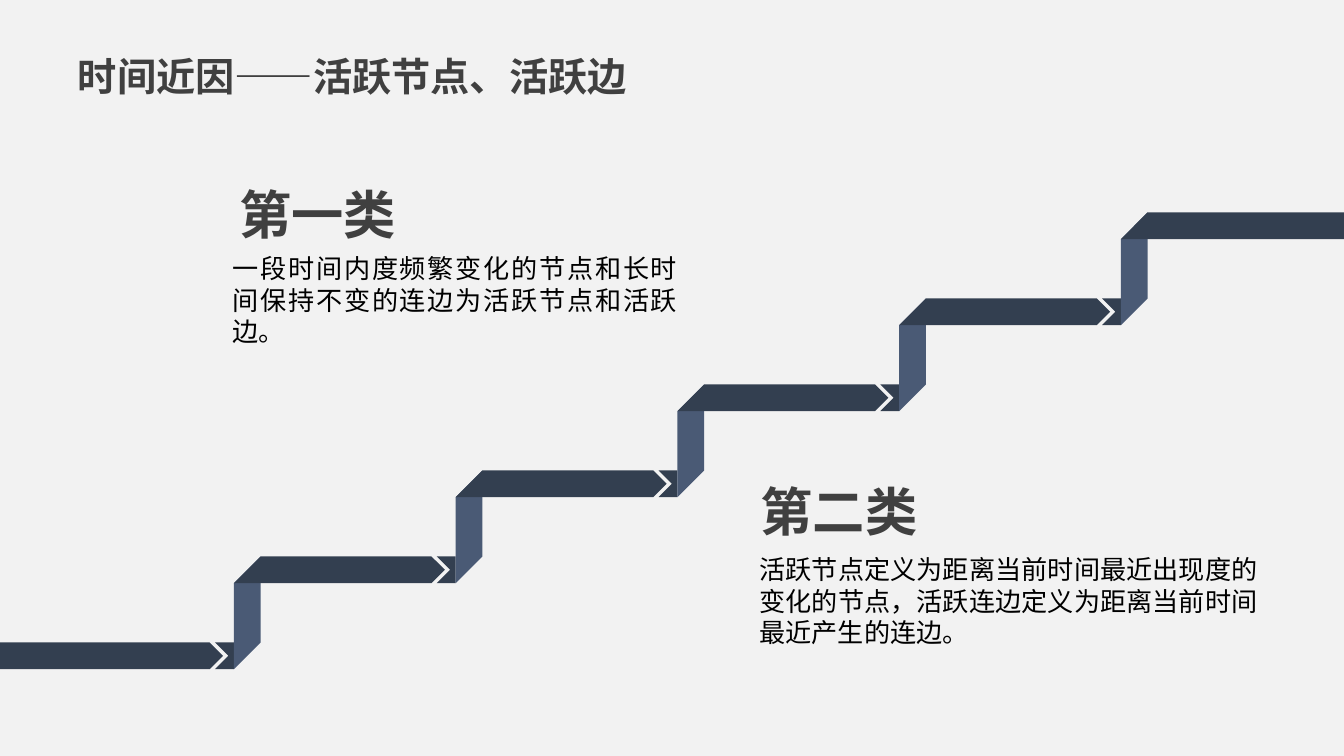
from pptx import Presentation
from pptx.dml.color import RGBColor
from pptx.enum import text
from pptx.oxml.ns import qn
from pptx.util import Inches, Pt
from lxml import etree

DARK = RGBColor(0x33, 0x3F, 0x50)
BLUE = RGBColor(0x4A, 0x5A, 0x75)
GRAY = RGBColor(0x40, 0x40, 0x40)
BLACK = RGBColor(0, 0, 0)
PALE = RGBColor(0xF2, 0xF2, 0xF2)
SANS = "Noto Sans CJK SC"

# Content: text, box (left, top, width, height), style
TEXTS = [
    ("一段时间内度频繁变化的节点和长时间保持不变的连边为活跃节点和活跃边。",
     (1.73, 1.88, 3.31, 0.47), "body"),
    ("第一类", (1.71, 1.22, 1.71, 0.64), "head"),
    ("活跃节点定义为距离当前时间最近出现度的变化的节点，活跃连边定义为距离当前时间最近产生的连边。",
     (5.65, 4.12, 3.71, 0.71), "body"),
    ("第二类", (5.59, 3.43, 1.87, 0.64), "head"),
    ("时间近因——活跃节点、活跃边", (0.51, 0.35, 4.45, 0.43), "title"),
]
LEFT, JUST = text.PP_ALIGN.LEFT, text.PP_ALIGN.JUSTIFY
STYLES = {
    "title": dict(font=dict(name=SANS, size=Pt(21), bold=True), color=GRAY, pad=(0.07, 0.04),
                  para=dict(alignment=LEFT, space_before=Pt(4.2))),
    "head": dict(font=dict(name="Arial", size=Pt(28), bold=True), color=GRAY, pad=(0.07, 0.04),
                 para=dict(alignment=LEFT, line_spacing=1.2, space_before=Pt(5.6))),
    "body": dict(font=dict(name=SANS, size=Pt(14), bold=False), color=BLACK, pad=(0, 0),
                 para=dict(alignment=JUST)),
}

# Stairs: first riser, step size, band thickness
WIDE, STEPS = 10, 5
LEFT_X, LOW_Y = 1.74, 4.78
RUN, RISE, BAND = 1.65, 0.64, 0.2

deck = Presentation()
deck.slide_width, deck.slide_height = Inches(WIDE), Inches(WIDE * 9 / 16)
slide = deck.slides.add_slide(deck.slide_layouts[6])
slide.background.fill.solid()
slide.background.fill.fore_color.rgb = PALE


def draw(points, color):
    spots = [(Inches(x), Inches(y)) for x, y in points]
    pen = slide.shapes.build_freeform(*spots[0])
    pen.add_line_segments(spots[1:], close=True)
    shape = pen.convert_to_shape()
    shape.shadow.inherit = False
    shape.fill.solid()
    shape.fill.fore_color.rgb = color
    shape.line.fill.background()


def tread(start, end, top):
    """Band with a folded start, an arrow tip and a notched tail."""
    base, mid = top + BAND, top + BAND / 2
    tip, gap = end - 0.08, end - 0.14
    draw([(tip - 0.1, top), (start[0], top), (start[1], base), (tip - 0.1, base), (tip, mid)], DARK)
    draw([(gap, base), (gap + 0.1, mid), (gap, top), (end, top), (end, base)], DARK)


# Treads and risers, from low to high
tread((0, 0), LEFT_X, LOW_Y)
for step in range(STEPS):
    x, y = LEFT_X + step * RUN, LOW_Y - step * RISE
    top, fold = y - RISE, x + BAND
    draw([(fold, y), (x, y + BAND), (x, top + BAND), (fold, top)], BLUE)
    if step < STEPS - 1:
        tread((fold, x), x + RUN, top)
    else:
        draw([(WIDE, top), (fold, top), (x, top + BAND), (WIDE, top + BAND)], DARK)

# Texts
for words, box, kind in TEXTS:
    style = STYLES[kind]
    frame = slide.shapes.add_textbox(*map(Inches, box)).text_frame
    frame.word_wrap = True
    frame.margin_left = frame.margin_right = Inches(style["pad"][0])
    frame.margin_top = frame.margin_bottom = Inches(style["pad"][1])
    para = frame.paragraphs[0]
    run = para.add_run()
    run.text = words
    for item, values in ((para, style["para"]), (run.font, style["font"])):
        for key, value in values.items():
            setattr(item, key, value)
    run.font.color.rgb = style["color"]
    east = etree.SubElement(run.font._element, qn("a:ea"))
    east.set("typeface", SANS)

deck.save("out.pptx")
